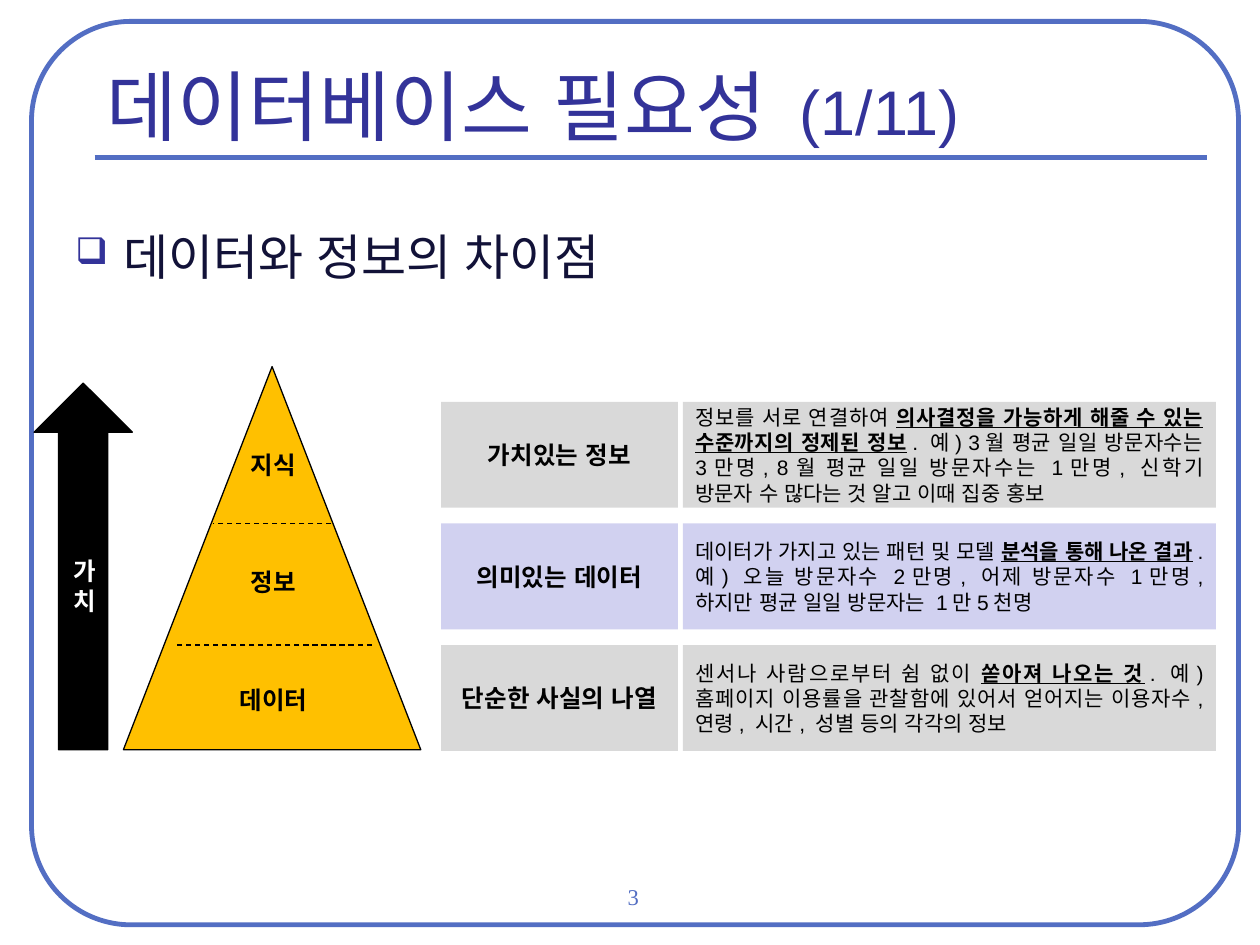
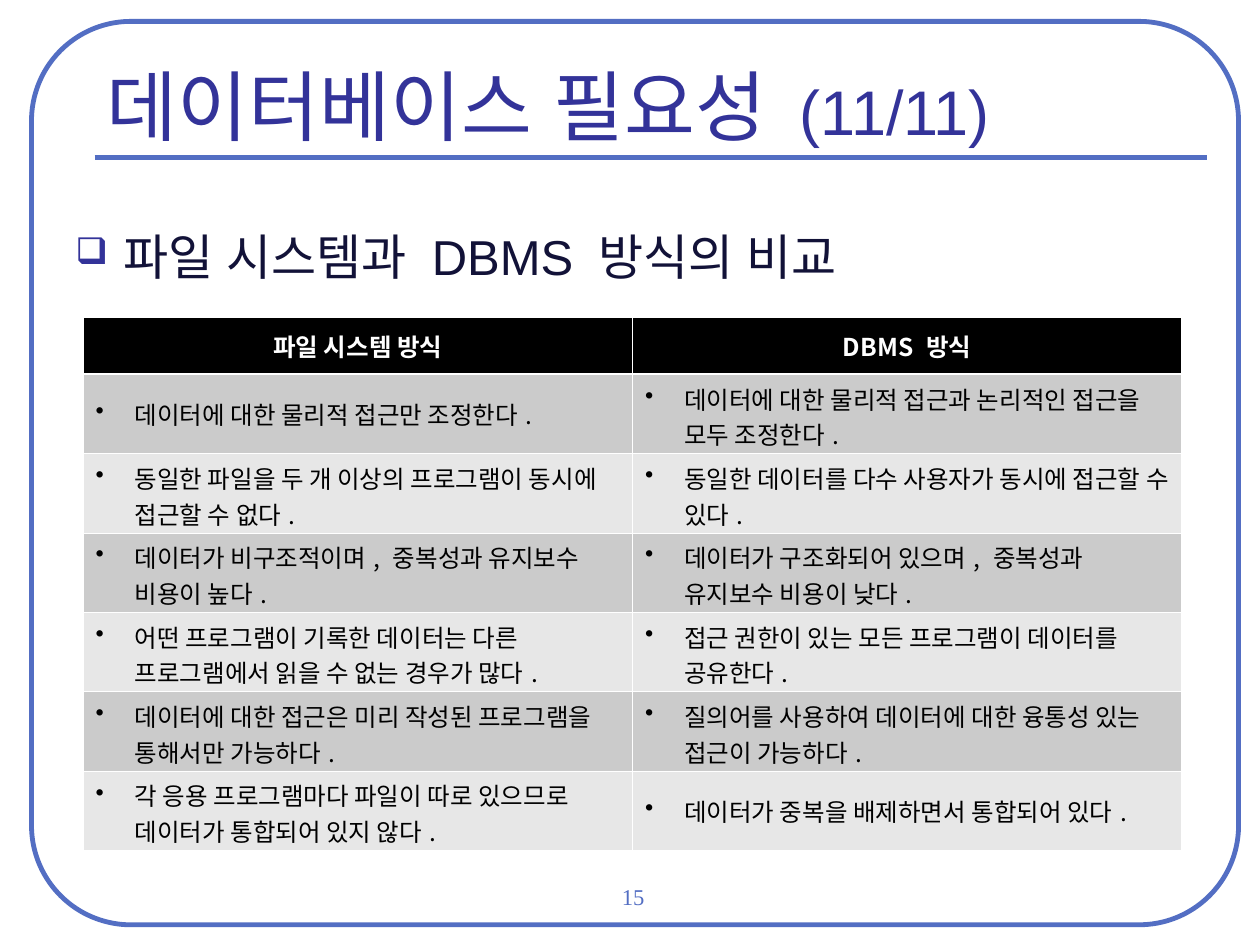
"""Build two slides on why databases are needed."""
from lxml.etree import SubElement
from pptx import Presentation
from pptx.dml.color import RGBColor
from pptx.enum.dml import MSO_LINE
from pptx.enum.shapes import MSO_CONNECTOR, MSO_SHAPE as SHAPE
from pptx.enum.text import MSO_ANCHOR as ANCHOR, PP_ALIGN as ALIGN
from pptx.oxml import parse_xml
from pptx.oxml.ns import nsdecls, qn
from pptx.util import Inches, Pt

BLACK = RGBColor(0x00, 0x00, 0x00)
WHITE = RGBColor(0xFF, 0xFF, 0xFF)
FRAME_BLUE = RGBColor(0x53, 0x6E, 0xC3)
TITLE_BLUE = RGBColor(0x33, 0x33, 0x99)
NAVY = RGBColor(0x12, 0x12, 0x38)
GOLD = RGBColor(0xFF, 0xC0, 0x00)
GREY = RGBColor(0xD9, 0xD9, 0xD9)
LILAC = RGBColor(0xD1, 0xD1, 0xF0)
DARK_BAND = RGBColor(0xCB, 0xCB, 0xCB)
LIGHT_BAND = RGBColor(0xE7, 0xE7, 0xE7)

SANS, SERIF, TABLE_FONT = "Arial", "Times New Roman", "Noto Sans CJK KR"
THIN, FRAME_WIDTH = 0.74, 2.75
ROW_TOP, ROW_PITCH, ROW_HEIGHT = 3.19, (5.12 - 3.19) / 2, 0.84
LABEL_TOP, LABEL_PITCH = 3.27, 0.93
PYRAMID_BASE = 5.95

LEVELS = [
    ("지식", "가치있는 정보", GREY,
     ("정보를 서로 연결하여 ",
      "의사결정을 가능하게 해줄 수 있는 수준까지의 정제된 정보",
      ". 예) 3월 평균 일일 방문자수는 3만명, 8월 평균 일일 방문자수는 1만명, "
      "신학기 방문자 수 많다는 것 알고 이때 집중 홍보")),
    ("정보", "의미있는 데이터", LILAC,
     ("데이터가 가지고 있는 패턴 및 모델 ",
      "분석을 통해 나온 결과",
      ". 예) 오늘 방문자수 2만명, 어제 방문자수 1만명, "
      "하지만 평균 일일 방문자는 1만5천명")),
    ("데이터", "단순한 사실의 나열", GREY,
     ("센서나 사람으로부터 쉼 없이 ",
      "쏟아져 나오는 것",
      ". 예) 홈페이지 이용률을 관찰함에 있어서 얻어지는 이용자수, "
      "연령, 시간, 성별 등의 각각의 정보")),
]

COMPARISON = [
    ("파일 시스템 방식", "DBMS 방식"),
    ("데이터에 대한 물리적 접근만 조정한다.",
     "데이터에 대한 물리적 접근과 논리적인 접근을 모두 조정한다."),
    ("동일한 파일을 두 개 이상의 프로그램이 동시에 접근할 수 없다.",
     "동일한 데이터를 다수 사용자가 동시에 접근할 수 있다."),
    ("데이터가 비구조적이며, 중복성과 유지보수 비용이 높다.",
     "데이터가 구조화되어 있으며, 중복성과 유지보수 비용이 낮다."),
    ("어떤 프로그램이 기록한 데이터는 다른 프로그램에서 읽을 수 없는 경우가 많다.",
     "접근 권한이 있는 모든 프로그램이 데이터를 공유한다."),
    ("데이터에 대한 접근은 미리 작성된 프로그램을 통해서만 가능하다.",
     "질의어를 사용하여 데이터에 대한 융통성 있는 접근이 가능하다."),
    ("각 응용 프로그램마다 파일이 따로 있으므로 데이터가 통합되어 있지 않다.",
     "데이터가 중복을 배제하면서 통합되어 있다."),
]


def box(*lengths):
    return [Inches(n) for n in lengths]


def style(p, size, color, font=SANS, bold=False, align=ALIGN.LEFT):
    p.alignment = align
    p.font.size, p.font.bold, p.font.name = Pt(size), bold, font
    p.font.color.rgb = color
    SubElement(p._p.pPr.find(qn("a:defRPr")), qn("a:ea"), typeface=font)


def add_runs(p, *texts):
    runs = [p.add_run() for _ in texts]
    for r, text in zip(runs, texts):
        r.text = text
    return runs


def set_bullet(p, char, color, indent, percent=100):
    pPr = p._p.get_or_add_pPr()
    pPr.set("marL", str(Inches(indent)))
    pPr.set("indent", str(-Inches(indent)))
    ns = nsdecls("a")
    for xml in (f'<a:buClr {ns}><a:srgbClr val="{color}"/></a:buClr>',
                f'<a:buSzPct {ns} val="{percent * 1000}"/>',
                f'<a:buChar {ns} char="{char}"/>'):
        pPr.find(qn("a:defRPr")).addprevious(parse_xml(xml))


def add_shape(slide, kind, at, fill=None, line=None, width=THIN):
    s = slide.shapes.add_shape(kind, *box(*at))
    s.shadow.inherit = False
    if fill is None:
        s.fill.background()
    else:
        s.fill.solid()
        s.fill.fore_color.rgb = fill
    if line is None:
        s.line.fill.background()
    else:
        s.line.color.rgb, s.line.width = line, Pt(width)
    return s


def add_line(slide, start, end, color, width, dash=None):
    s = slide.shapes.add_connector(MSO_CONNECTOR.STRAIGHT, *box(*start, *end))
    s.line.color.rgb, s.line.width = color, Pt(width)
    if dash:
        s.line.dash_style = dash
    SubElement(s._element.spPr, qn("a:effectLst"))


def text_frame(s, anchor=ANCHOR.MIDDLE):
    tf = s.text_frame
    tf.word_wrap, tf.vertical_anchor = True, anchor
    return tf


def add_text(slide, at, *texts, anchor=ANCHOR.MIDDLE):
    tf = text_frame(slide.shapes.add_textbox(*box(*at)), anchor)
    p = tf.paragraphs[0]
    return p, add_runs(p, *texts)


def add_label(slide, at, text, color=BLACK):
    p, _ = add_text(slide, at, text)
    style(p, 14, color, bold=True, align=ALIGN.CENTER)
    return p


def add_page(prs, page, part, heading, heading_width):
    slide = prs.slides.add_slide(prs.slide_layouts[6])
    frame = add_shape(slide, SHAPE.ROUNDED_RECTANGLE, (0.25, 0.17, 9.58, 7.17),
                      line=FRAME_BLUE, width=FRAME_WIDTH)
    frame.adjustments[0] = 0.11
    add_line(slide, (0.75, 1.25), (9.58, 1.25), FRAME_BLUE, FRAME_WIDTH)

    p, _ = add_text(slide, (3.9, 6.98, 2.25, 0.33), str(page), anchor=ANCHOR.TOP)
    style(p, 12.9, FRAME_BLUE, SERIF, align=ALIGN.CENTER)
    p.line_spacing = 0.9

    p, runs = add_text(slide, (0.75, 0.42, 8.75, 0.83),
                       "데이터베이스 필요성", f" ({part}/11)")
    style(p, 44, TITLE_BLUE)
    runs[1].font.size = Pt(36)

    p, _ = add_text(slide, (0.5, 1.75, heading_width, 0.66), heading,
                    anchor=ANCHOR.TOP)
    style(p, 28, NAVY)
    p.space_before = Pt(7)
    set_bullet(p, "❑", TITLE_BLUE, 0.38, 75)
    return slide


def add_level_row(slide, top, name, fill, description):
    s = add_shape(slide, SHAPE.RECTANGLE, (3.5, top, 1.88, ROW_HEIGHT), fill)
    p = text_frame(s).paragraphs[0]
    add_runs(p, name)
    style(p, 14, BLACK, bold=True, align=ALIGN.CENTER)

    s = add_shape(slide, SHAPE.RECTANGLE, (5.42, top, 4.23, ROW_HEIGHT), fill)
    p = text_frame(s).paragraphs[0]
    _, key, _ = add_runs(p, *description)
    style(p, 12, BLACK, align=ALIGN.JUSTIFY)
    key.font.bold = key.font.underline = True


def add_pyramid(slide):
    add_shape(slide, SHAPE.ISOSCELES_TRIANGLE,
              (0.98, 2.91, 2.36, PYRAMID_BASE - 2.91), GOLD, BLACK)
    for i, (left, right) in enumerate([(1.69, 2.63), (1.38, 2.95)], 1):
        y = ROW_TOP + i * ROW_PITCH
        add_line(slide, (right, y), (left, y), BLACK, THIN, MSO_LINE.DASH)
    for i, (label, *_) in enumerate(LEVELS):
        add_label(slide, (1.23, LABEL_TOP + i * LABEL_PITCH, 1.88, ROW_HEIGHT), label)


def add_value_arrow(slide):
    add_shape(slide, SHAPE.UP_ARROW, (0.27, 3.04, 0.78, PYRAMID_BASE - 3.04),
              BLACK, BLACK)
    add_label(slide, (0.44, 4.23, 0.46, ROW_HEIGHT), "가", WHITE)
    p = slide.shapes[-1].text_frame.add_paragraph()
    add_runs(p, "치")
    style(p, 14, WHITE, bold=True, align=ALIGN.CENTER)


def set_borders(cell, **widths):
    tcPr = cell._tc.get_or_add_tcPr()
    for side in "LRTB":
        ln = SubElement(tcPr, qn(f"a:ln{side}"), w=str(Pt(widths.get(side, 0.45))))
        fill = SubElement(ln, qn("a:solidFill"))
        SubElement(fill, qn("a:srgbClr"), val=str(WHITE))


def fill_cell(cell, row, text):
    header = row == 0
    set_borders(cell, **({"B": 1.47} if header else {"T": 1.47} if row == 1 else {}))
    cell.fill.solid()
    cell.fill.fore_color.rgb = (
        BLACK if header else DARK_BAND if row % 2 else LIGHT_BAND)
    cell.vertical_anchor = ANCHOR.MIDDLE
    p = cell.text_frame.paragraphs[0]
    add_runs(p, text)
    if header:
        style(p, 14, WHITE, TABLE_FONT, True, ALIGN.CENTER)
    else:
        style(p, 14, BLACK, TABLE_FONT)
        set_bullet(p, "•", BLACK, 0.31)


def add_comparison(slide):
    table = slide.shapes.add_table(
        len(COMPARISON), 2, *box(0.66, 2.52, 8.72, 4.25)).table
    for col in table.columns:
        col.width = Inches(4.36)
    for i, texts in enumerate(COMPARISON):
        table.rows[i].height = Inches(0.63 if i else 0.45)
        for j, text in enumerate(texts):
            fill_cell(table.cell(i, j), i, text)


def main():
    prs = Presentation()
    prs.slide_width, prs.slide_height = box(10, 7.5)

    slide = add_page(prs, 3, 1, "데이터와 정보의 차이점", 9.34)
    for i, (_, name, fill, description) in enumerate(LEVELS):
        add_level_row(slide, ROW_TOP + i * ROW_PITCH, name, fill, description)
    add_pyramid(slide)
    add_value_arrow(slide)

    slide = add_page(prs, 15, 11, "파일 시스템과 DBMS 방식의 비교", 9)
    add_comparison(slide)

    prs.save("out.pptx")


main()
